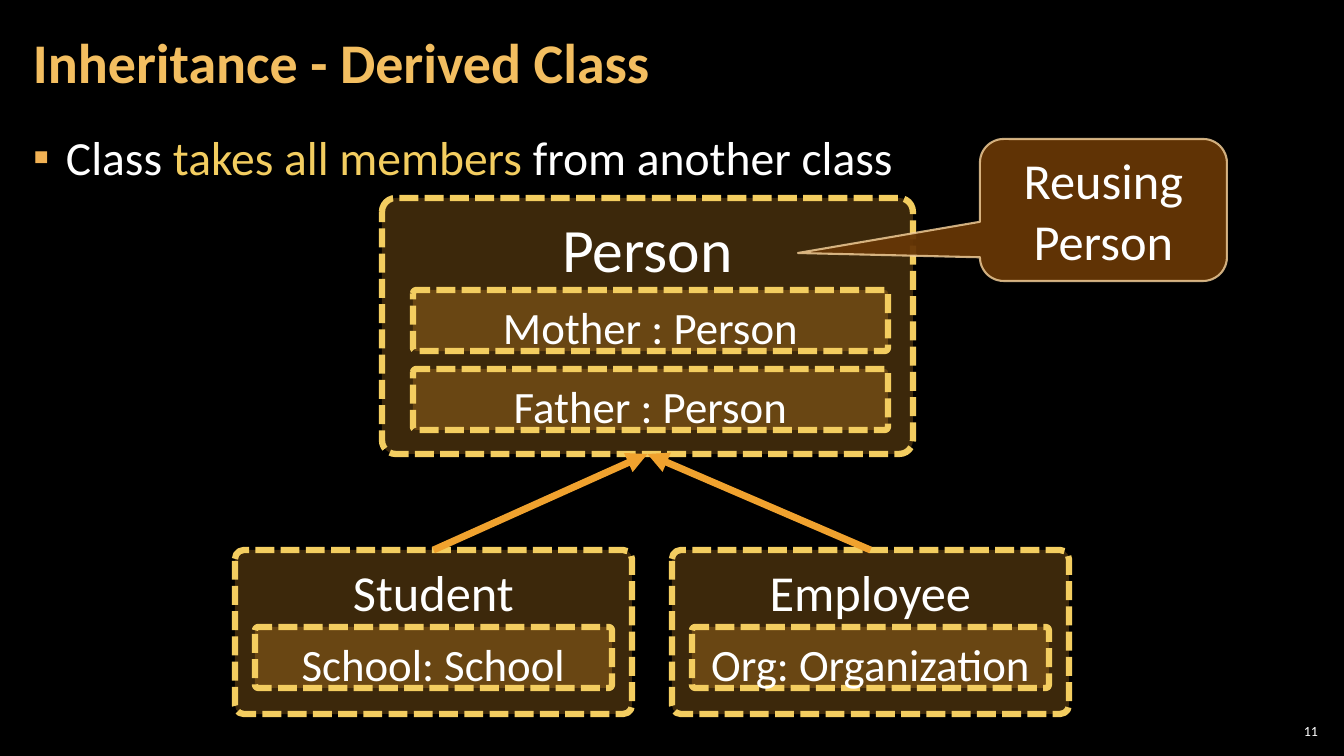
"""Build the slide about inheritance and derived classes."""
from lxml import etree
from pptx import Presentation
from pptx import util as u
from pptx.dml.color import RGBColor
from pptx.enum import dml, shapes, text
from pptx.oxml.ns import qn

EMU_PER_PX = 12192000 / 1344
FONT = "Calibri"
COLORS = {
    "background": "000000", "text": "FFFFFF", "title": "F3BE60",
    "accent": "F3CD60", "bullet": "F2B254", "orange": "F0A22E",
    "callout": "663606", "callout_line": "F8D49E",
}


def px(n):
    """Turn pixels into EMU."""
    return u.Emu(round(n * EMU_PER_PX))


def rgb(name):
    """Return a named colour."""
    return RGBColor.from_string(COLORS[name])


def style_run(r, size, color="text", bold=False):
    """Set the font of a run."""
    r.font.name, r.font.size, r.font.bold = FONT, u.Pt(size), bold
    r.font.color.rgb = rgb(color)


def set_frame(tf, anchor, side, top):
    """Set wrapping, anchor and insets of a text frame."""
    tf.word_wrap = True
    tf.auto_size = text.MSO_AUTO_SIZE.NONE
    tf.vertical_anchor = anchor
    tf.margin_left = tf.margin_right = px(side)
    tf.margin_top = tf.margin_bottom = px(top)


def place(sp, x, y, w, h):
    """Move and size a shape."""
    sp.left, sp.top, sp.width, sp.height = px(x), px(y), px(w), px(h)


def set_alpha(fill, percent):
    """Make a solid fill partly transparent."""
    color = fill._xPr.find(qn("a:solidFill"))[0]
    etree.SubElement(color, qn("a:alpha"), val=str(percent * 1000))


def add_panel(s, kind, box, label, size, fill, alpha, line, width):
    """Add a filled, outlined shape with centred text."""
    sp = s.shapes.add_shape(kind, *map(px, box))
    sp.shadow.inherit = False
    sp.fill.solid()
    sp.fill.fore_color.rgb = rgb(fill)
    set_alpha(sp.fill, alpha)
    sp.line.color.rgb = rgb(line)
    sp.line.width = u.Pt(width)
    sp.text_frame.text = label
    p = sp.text_frame.paragraphs[0]
    p.alignment = text.PP_ALIGN.CENTER
    style_run(p.runs[0], size)
    return sp


def add_box(s, box, label, size):
    """Add a dashed rounded box."""
    sp = add_panel(s, shapes.MSO_SHAPE.ROUNDED_RECTANGLE, box, label, size,
                   "orange", 25, "accent", 4.5)
    sp.adjustments[0] = 0.054
    sp.line.dash_style = dml.MSO_LINE.SQUARE_DOT
    set_frame(sp.text_frame, text.MSO_ANCHOR.TOP, 5, 9)
    return sp


def add_class(s, box, name, size, members, offset, member_width):
    """Add a class box with its member boxes stacked inside."""
    sp = add_box(s, box, name, size)
    dx, dy = offset
    for i, member in enumerate(members):
        add_box(s, (box[0] + dx, box[1] + dy + 79 * i, member_width, 61), member, 32)
    return sp


def add_arrow(s, child, parent):
    """Join the top of a child to the bottom of its parent."""
    c = s.shapes.add_connector(shapes.MSO_CONNECTOR.STRAIGHT, 0, 0, 0, 0)
    c.begin_connect(child, 0)
    c.end_connect(parent, 2)
    c.line.color.rgb = rgb("orange")
    c.line.width = u.Pt(5)
    etree.SubElement(c.line._get_or_add_ln(), qn("a:tailEnd"), type="triangle")
    etree.SubElement(c._element.spPr, qn("a:effectLst"))


def add_callout(s, box, label):
    """Add a speech callout pointing left."""
    sp = add_panel(s, shapes.MSO_SHAPE.ROUNDED_RECTANGULAR_CALLOUT, box, label, 36,
                   "callout", 95, "callout_line", 1.5)
    for i, value in enumerate((-1.237, 0.303, 0.167)):
        sp.adjustments[i] = value
    set_alpha(sp.line.fill, 80)
    set_frame(sp.text_frame, text.MSO_ANCHOR.MIDDLE, 10, 5)


def add_page_number(s, number):
    """Add the page number."""
    sp = s.shapes.add_textbox(px(1275), px(720), px(47), px(21))
    tf = sp.text_frame
    set_frame(tf, text.MSO_ANCHOR.MIDDLE, 4, 4)
    tf.text = number
    p = tf.paragraphs[0]
    p.alignment = text.PP_ALIGN.RIGHT
    style_run(p.runs[0], 10)


def fill_title(sp, label):
    """Fill the title placeholder."""
    place(sp, 21, 4, 1055, 122)
    tf = sp.text_frame
    set_frame(tf, text.MSO_ANCHOR.MIDDLE, 12, 4)
    tf.text = label
    p = tf.paragraphs[0]
    p.alignment = text.PP_ALIGN.LEFT
    p.line_spacing = 0.9
    style_run(p.runs[0], 40, "title", True)


def fill_body(sp, parts):
    """Fill the body placeholder with one bullet of coloured parts."""
    place(sp, 21, 118, 1301, 614)
    tf = sp.text_frame
    set_frame(tf, text.MSO_ANCHOR.TOP, 12, 4)
    p = tf.paragraphs[0]
    p.line_spacing = 1.1
    p.space_before = p.space_after = u.Pt(6)
    for part, color in parts:
        r = p.add_run()
        r.text = part
        style_run(r, 34, color)
    pPr = p._p.get_or_add_pPr()
    pPr.set("marL", str(px(33)))
    pPr.set("indent", str(-px(33)))
    color = etree.SubElement(pPr, qn("a:buClr"))
    etree.SubElement(color, qn("a:srgbClr"), val=COLORS["bullet"])
    etree.SubElement(pPr, qn("a:buChar"), char="▪")


def main():
    """Build and save the slide."""
    prs = Presentation()
    prs.slide_width, prs.slide_height = px(1344), px(756)
    s = prs.slides.add_slide(prs.slide_layouts[1])
    s.background.fill.solid()
    s.background.fill.fore_color.rgb = rgb("background")

    fill_title(s.shapes.title, "Inheritance - Derived Class")
    fill_body(s.placeholders[1], [("Class", "text"), (" takes all members ", "accent"),
                                  ("from another class", "text")])
    add_page_number(s, "11")

    person = add_class(s, (382, 198, 531, 256), "Person", 44,
                       ["Mother : Person", "Father : Person"], (31, 92), 475)
    children = [("Student", "School: School"), ("Employee", "Org: Organization")]
    for i, (name, member) in enumerate(children):
        child = add_class(s, (235 + 437 * i, 550, 397, 164), name, 36,
                          [member], (20, 77), 357)
        add_arrow(s, child, person)
    add_callout(s, (980, 139, 247, 142), "Reusing Person")
    prs.save("out.pptx")


if __name__ == "__main__":
    main()
